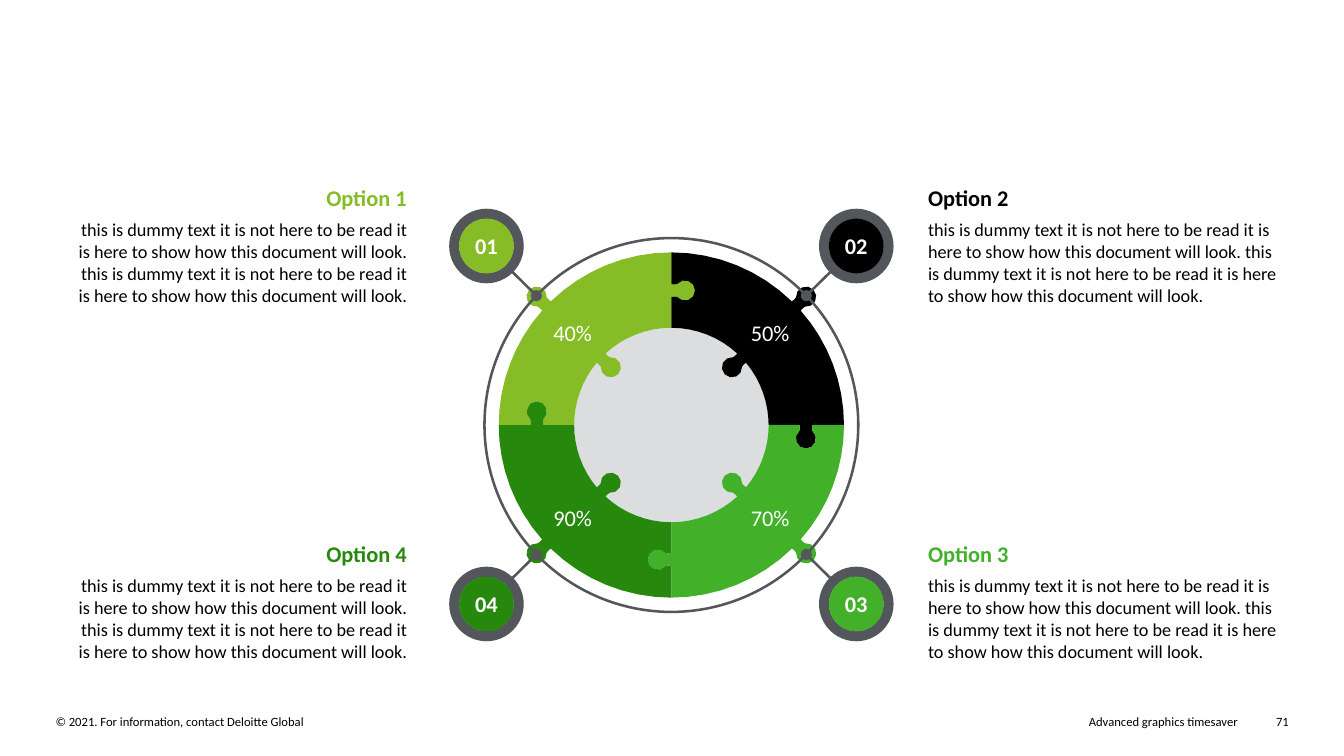
from math import cos, radians, sin

from lxml import etree
from pptx import Presentation
from pptx.dml.color import RGBColor
from pptx.enum.shapes import MSO_CONNECTOR, MSO_SHAPE as SHAPE
from pptx.enum.text import MSO_ANCHOR as ANCHOR, PP_ALIGN as ALIGN
from pptx.oxml.ns import qn
from pptx.util import Cm, Pt

rgb = RGBColor.from_string
GREY = "53565A"
BODY = " ".join(["this is dummy text it is not here to be read it is here "
                 "to show how this document will look."] * 2)


def arc(radius, start, end, steps=8):
    angles = [radians(start + (end - start) * k / steps) for k in range(steps + 1)]
    return [radius * complex(cos(a), sin(a)) for a in angles]


def write(sp, text, size, color, align, bold=False, anchor=ANCHOR.MIDDLE, margin=(0, 0)):
    tf = sp.text_frame
    tf.word_wrap = True
    tf.vertical_anchor = anchor
    tf.margin_left = tf.margin_right = Cm(margin[0])
    tf.margin_top = tf.margin_bottom = Cm(margin[1])
    p = tf.paragraphs[0]
    p.text = text
    p.alignment = align
    p.font.name = "Calibri"
    p.font.size = Pt(size)
    p.font.bold = bold
    p.font.color.rgb = rgb(color)


prs = Presentation()
prs.slide_width, prs.slide_height = Cm(33.87), Cm(19.05)
s = prs.slides.add_slide(prs.slide_layouts[6])
shapes = s.shapes

for text, x, width, align in [
    ("© 2021. For information, contact Deloitte Global", 1.4, 14.88, ALIGN.LEFT),
    ("Advanced graphics timesaver", 17.6, 13.59, ALIGN.RIGHT),
    ("71", 31.62, 0.86, ALIGN.RIGHT),
]:
    sp = shapes.add_textbox(Cm(x), Cm(17.98), Cm(width), Cm(0.38))
    write(sp, text, 9, "000000", align, anchor=ANCHOR.TOP)

CX, CY = 16.92, 10.71
INNER, OUTER, RING = 2.45, 4.35, 4.71

hub = shapes.add_shape(SHAPE.OVAL, Cm(CX - INNER), Cm(CY - INNER), Cm(2 * INNER), Cm(2 * INNER))
hub.shadow.inherit = False
hub.fill.solid()
hub.fill.fore_color.rgb = rgb("DCDDDF")
hub.line.fill.background()

options = [
    ("1", "40%", "86BC25", -1, -1),
    ("2", "50%", "000000", 1, -1),
    ("3", "70%", "43B02A", 1, 1),
    ("4", "90%", "26890D", -1, 1),
]

knob = ([-0.16j, 0.08 - 0.155j]
        + [0.34 + z for z in arc(0.255, -140, 140)]
        + [0.08 + 0.155j, 0.16j])

for i, (number, percent, color, dx, dy) in enumerate(options):
    start = 180 + 90 * i
    end = start + 90
    middle = start + 45 - 1.4 * dx * dy
    from_dir, to_dir, out_dir = (arc(1, a, a, 1)[0] for a in (start, end, middle))
    outline = [INNER * from_dir]
    outline += [from_dir * (3.39 + 1j * z) for z in reversed(knob)]
    outline += arc(OUTER, start, middle - 2.1)
    outline += [out_dir * (OUTER + z) for z in knob]
    outline += arc(OUTER, middle + 2.1, end)
    outline += [to_dir * (3.39 + 1j * z) for z in knob]
    outline += arc(INNER, end, middle + 3.7)
    outline += [out_dir * (INNER - z) for z in knob]
    outline += arc(INNER, middle - 3.7, start)
    points = [(Cm(CX + z.real), Cm(CY + z.imag)) for z in outline]
    builder = shapes.build_freeform(*points[0])
    builder.add_line_segments(points[1:])
    piece = builder.convert_to_shape()
    piece.shadow.inherit = False
    piece.fill.solid()
    piece.fill.fore_color.rgb = rgb(color)
    piece.line.fill.background()

ring = shapes.add_shape(SHAPE.OVAL, Cm(CX - RING), Cm(CY - RING), Cm(2 * RING), Cm(2 * RING))
ring.shadow.inherit = False
ring.fill.background()
ring.line.color.rgb = rgb(GREY)
ring.line.width = Pt(1.8)

for number, percent, color, dx, dy in options:
    dot_x, dot_y = CX + 3.4 * dx, CY + 3.26 * dy
    badge_x, badge_y = CX + 4.66 * dx, CY + 4.51 * dy

    link = shapes.add_connector(MSO_CONNECTOR.STRAIGHT, Cm(dot_x), Cm(dot_y),
                                Cm(CX + 4.02 * dx), Cm(CY + 3.87 * dy))
    link.line.color.rgb = rgb(GREY)
    link.line.width = Pt(1.8)
    etree.SubElement(link._element.spPr, qn("a:effectLst"))

    for kind, x, y, radius, fill in [
        (SHAPE.OVAL, dot_x, dot_y, 0.14, GREY),
        (SHAPE.DONUT, badge_x, badge_y, 0.94, GREY),
        (SHAPE.OVAL, badge_x, badge_y, 0.69, color),
    ]:
        sp = shapes.add_shape(kind, Cm(x - radius), Cm(y - radius), Cm(2 * radius), Cm(2 * radius))
        sp.shadow.inherit = False
        sp.fill.solid()
        sp.fill.fore_color.rgb = rgb(fill)
        sp.line.fill.background()
        if kind == SHAPE.DONUT:
            sp.adjustments[0] = 0.135
    write(sp, "0" + number, 16, "FFFFFF", ALIGN.CENTER, bold=True)

    sp = shapes.add_textbox(Cm(CX + 2.49 * dx - 0.8), Cm(CY + 2.32 * dy - 0.34), Cm(1.6), Cm(0.68))
    write(sp, percent, 16, "FFFFFF", ALIGN.CENTER)

    top = 4.52 if dy < 0 else 13.48
    if dx < 0:
        title_x, body_x, body_width, align = 4.96, 1.41, 9.09, ALIGN.RIGHT
    else:
        title_x, body_x, body_width, align = 23.14, 23.14, 9.47, ALIGN.LEFT
    for text, x, y, width, height, size, ink, bold in [
        ("Option " + number, title_x, top, 5.54, 0.94, 16, color, True),
        (BODY, body_x, top + 0.86, body_width, 2.49, 13, "000000", False),
    ]:
        sp = shapes.add_textbox(Cm(x), Cm(y), Cm(width), Cm(height))
        write(sp, text, size, ink, align, bold, ANCHOR.TOP, (0.25, 0.13))

prs.save("out.pptx")
